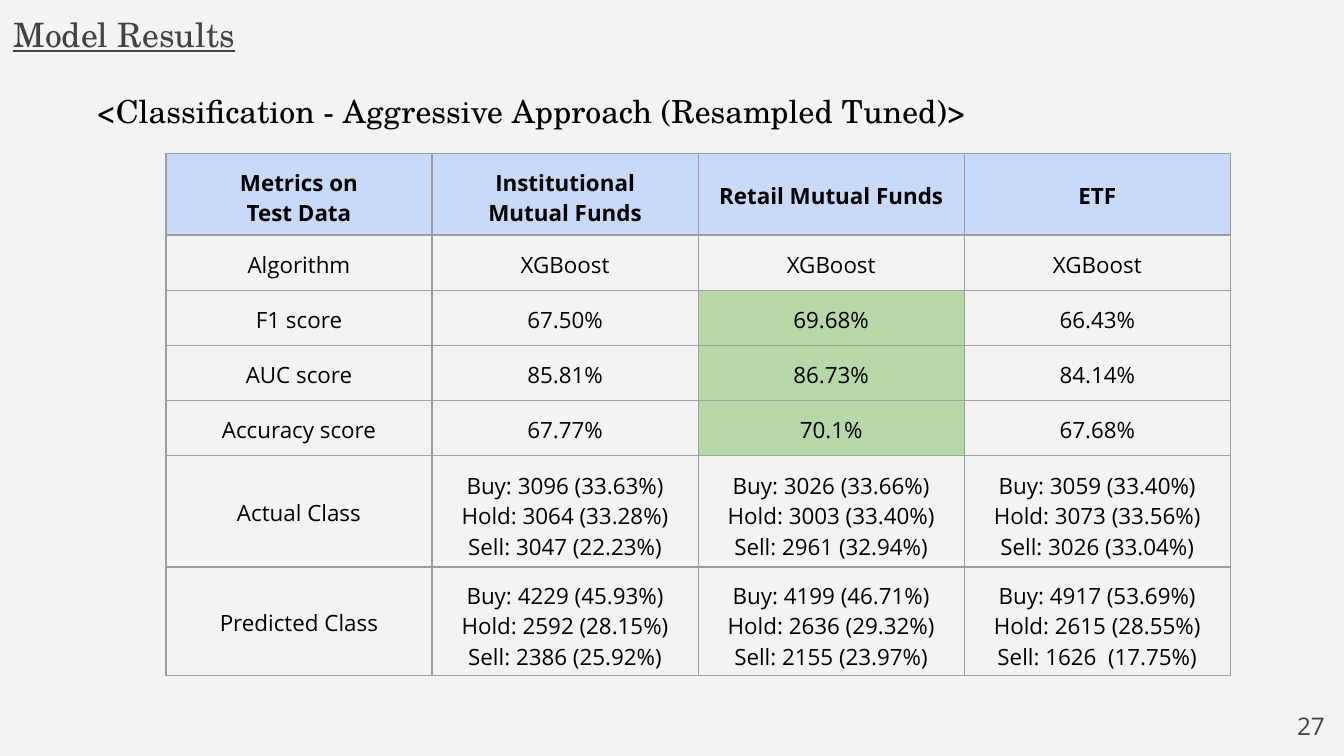
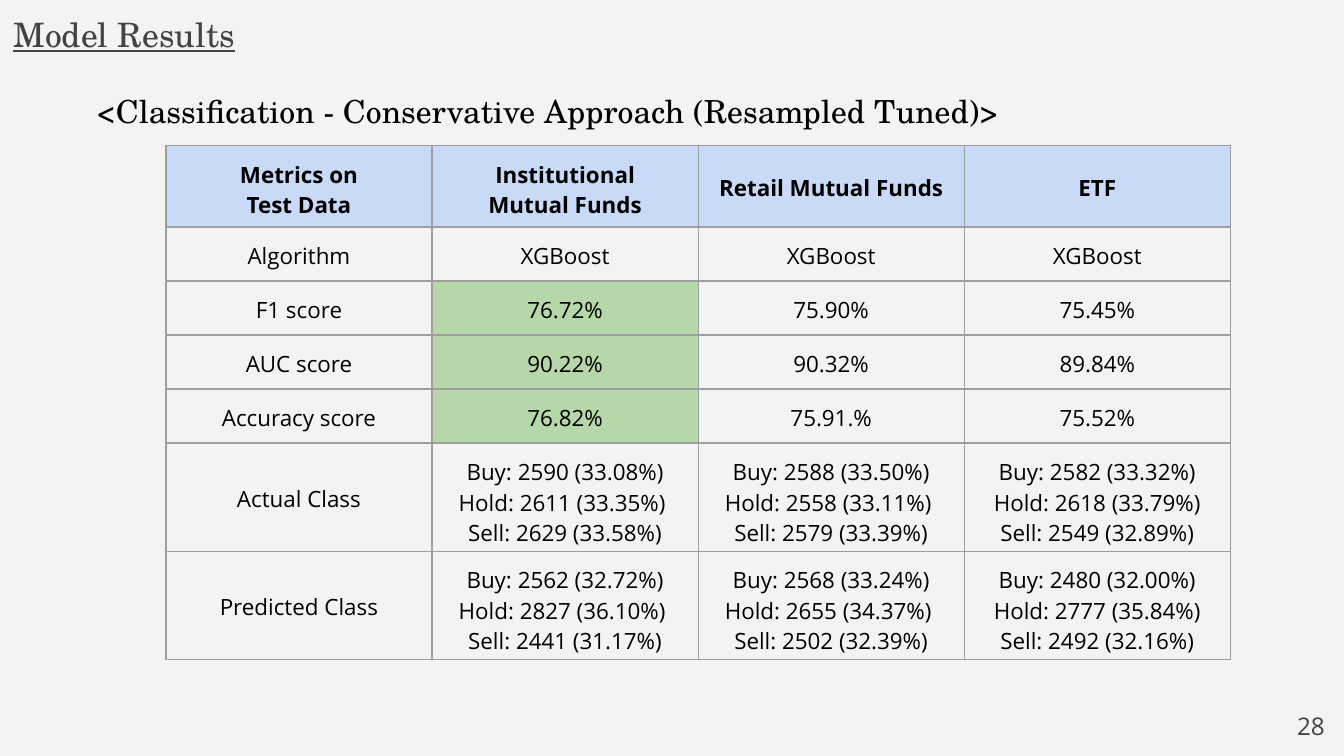
from dataclasses import dataclass

from lxml.etree import SubElement
from pptx import Presentation
from pptx.dml.color import RGBColor
from pptx.enum.text import MSO_ANCHOR, MSO_AUTO_SIZE, PP_ALIGN
from pptx.oxml.ns import qn
from pptx.util import Pt

PX = 4572  # EMU; 200 px to the inch


@dataclass(frozen=True)
class Theme:
    back: str = "F3F3F3"
    ink: str = "000000"
    grey: str = "434343"
    rule: str = "9E9E9E"
    head: str = "C9DAF8"
    best: str = "B6D7A8"
    serif: str = "TeX Gyre Schola"
    sans: str = "Open Sans"
    title: int = 18
    lead: int = 17
    page: int = 13
    cell: int = 12


THEME = Theme()
INSET = 20
TRIM = 5  # taken off a cell's bottom inset for each line of text
COL = 396
HEADER = (
    "Metrics on\nTest Data",
    "Institutional\nMutual Funds",
    "Retail Mutual Funds",
    "ETF",
)
LABELS = (
    "Algorithm",
    "F1 score",
    "AUC score",
    "Accuracy score",
    "Actual Class",
    "Predicted Class",
)
SCORES = range(2, 5)  # table rows where the best fund is marked

SLIDES = (
    dict(
        lead="<Classification - Aggressive Approach (Resampled Tuned)>",
        width=1428,
        page="27",
        top=229,
        heights=(108, 82, 82, 82, 82, 166, 82),
        best=2,
        funds=(
            ("XGBoost", "67.50%", "85.81%", "67.77%",
             "Buy: 3096 (33.63%)\nHold: 3064 (33.28%)\nSell: 3047 (22.23%)",
             "Buy: 4229 (45.93%)\nHold: 2592 (28.15%)\nSell: 2386 (25.92%)"),
            ("XGBoost", "69.68%", "86.73%", "70.1%",
             "Buy: 3026 (33.66%)\nHold: 3003 (33.40%)\nSell: 2961 (32.94%)",
             "Buy: 4199 (46.71%)\nHold: 2636 (29.32%)\nSell: 2155 (23.97%)"),
            ("XGBoost", "66.43%", "84.14%", "67.68%",
             "Buy: 3059 (33.40%)\nHold: 3073 (33.56%)\nSell: 3026 (33.04%)",
             "Buy: 4917 (53.69%)\nHold: 2615 (28.55%)\nSell: 1626  (17.75%)"),
        ),
    ),
    dict(
        lead="<Classification - Conservative Approach (Resampled Tuned)>",
        width=1584,
        page="28",
        top=217,
        heights=(116, 78, 78, 78, 78, 154, 154),
        best=1,
        funds=(
            ("XGBoost", "76.72%", "90.22%", "76.82%",
             "Buy: 2590 (33.08%)\nHold: 2611 (33.35%) \nSell: 2629 (33.58%)",
             "Buy: 2562 (32.72%)\nHold: 2827 (36.10%) \nSell: 2441 (31.17%)"),
            ("XGBoost", "75.90%", "90.32%", "75.91.%",
             "Buy: 2588 (33.50%)\nHold: 2558 (33.11%) \nSell: 2579 (33.39%)",
             "Buy: 2568 (33.24%)\nHold: 2655 (34.37%) \nSell: 2502 (32.39%)"),
            ("XGBoost", "75.45%", "89.84%", "75.52%",
             "Buy: 2582 (33.32%)\nHold: 2618 (33.79%)\nSell: 2549 (32.89%)",
             "Buy: 2480 (32.00%)\nHold: 2777 (35.84%)\nSell: 2492 (32.16%)"),
        ),
    ),
)


def box(*sides):
    return [side * PX for side in sides]


def pad(item, bottom=INSET):
    """Set the insets of a text frame or a table cell."""
    item.margin_left = item.margin_right = item.margin_top = INSET * PX
    item.margin_bottom = bottom * PX


def write(frame, text, size, font, color=THEME.ink, align=PP_ALIGN.LEFT,
          bold=False, under=False, space=1.0):
    """Fill a text frame, one paragraph to a line of text."""
    for i, line in enumerate(text.split("\n")):
        para = frame.add_paragraph() if i else frame.paragraphs[0]
        para.alignment, para.line_spacing = align, space
        run = para.add_run()
        run.text = line
        face = run.font
        face.name, face.size = font, Pt(size)
        face.bold, face.underline = bold, under
        face.color.rgb = RGBColor.from_string(color)


def set_up(frame, fit=MSO_AUTO_SIZE.NONE):
    pad(frame)
    frame.word_wrap, frame.auto_size = True, fit
    frame.vertical_anchor = MSO_ANCHOR.TOP


def add_title(slide, text):
    shape = slide.shapes.title
    shape.left, shape.top, shape.width, shape.height = box(0, 0, 570, 114)
    set_up(shape.text_frame)
    write(shape.text_frame, text, THEME.title, THEME.serif, THEME.grey,
          under=True)


def add_text(slide, place, text, fit=MSO_AUTO_SIZE.NONE, **style):
    frame = slide.shapes.add_textbox(*box(*place)).text_frame
    set_up(frame, fit)
    write(frame, text, **style)


def edge(cell):
    """Draw a thin rule on all four sides of a cell."""
    props = cell._tc.get_or_add_tcPr()
    for side in ("a:lnL", "a:lnR", "a:lnT", "a:lnB"):
        line = SubElement(props, qn(side), w=str(Pt(0.75)))
        fill = SubElement(line, qn("a:solidFill"))
        SubElement(fill, qn("a:srgbClr"), val=THEME.rule)


def add_cell(cell, text, fill, bold):
    lines = text.count("\n") + 1
    pad(cell, INSET - TRIM * lines)
    cell.vertical_anchor = MSO_ANCHOR.MIDDLE
    edge(cell)
    if fill:
        cell.fill.solid()
        cell.fill.fore_color.rgb = RGBColor.from_string(fill)
    else:
        cell.fill.background()
    write(cell.text_frame, text, THEME.cell, THEME.sans,
          align=PP_ALIGN.CENTER, bold=bold)


def add_grid(slide, top, heights, best, funds):
    rows = [HEADER, *zip(LABELS, *funds)]
    place = box(247, top, COL * len(HEADER), sum(heights))
    table = slide.shapes.add_table(len(rows), len(HEADER), *place).table
    table.horz_banding = table.first_row = False
    for col in table.columns:
        col.width = COL * PX
    for r, (row, height) in enumerate(zip(rows, heights)):
        table.rows[r].height = height * PX
        for c, text in enumerate(row):
            fill = None
            if r == 0:
                fill = THEME.head
            elif r in SCORES and c == best:
                fill = THEME.best
            add_cell(table.cell(r, c), text, fill, bold=r == 0)


def add_slide(deck, lead, width, page, **grid):
    slide = deck.slides.add_slide(deck.slide_layouts[0])
    sub = slide.placeholders[1].element
    sub.getparent().remove(sub)
    add_grid(slide, **grid)
    add_title(slide, "Model Results")
    add_text(slide, (124, 108, width, 98), lead,
             MSO_AUTO_SIZE.SHAPE_TO_FIT_TEXT,
             size=THEME.lead, font=THEME.serif, space=1.15)
    add_text(slide, (1871, 1039, 120, 86), page, size=THEME.page,
             font=THEME.sans, color=THEME.grey, align=PP_ALIGN.RIGHT)


def main():
    deck = Presentation()
    deck.slide_width, deck.slide_height = box(2000, 1125)
    back = deck.slide_master.background.fill
    back.solid()
    back.fore_color.rgb = RGBColor.from_string(THEME.back)
    for data in SLIDES:
        add_slide(deck, **data)
    deck.save("out.pptx")


if __name__ == "__main__":
    main()
